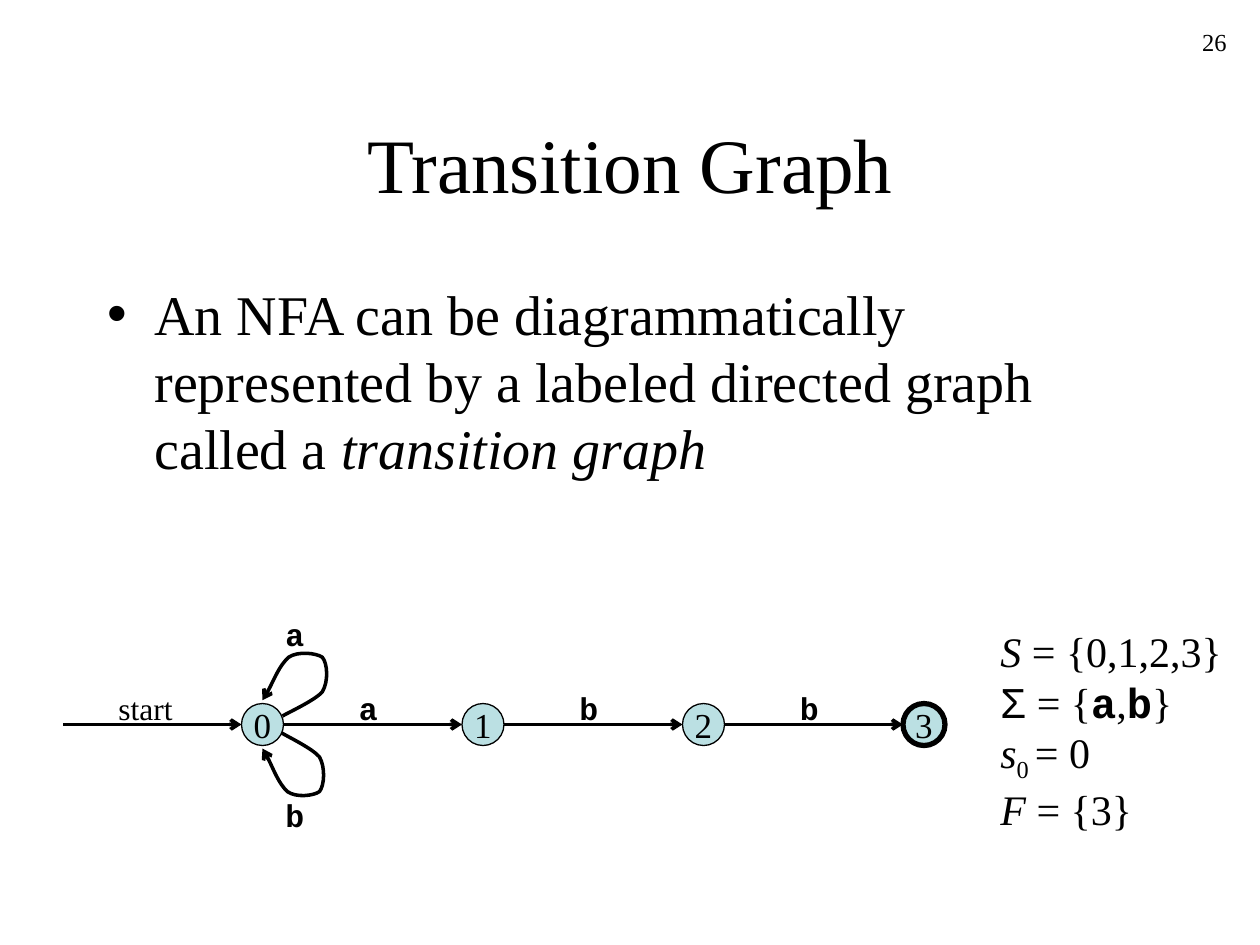
from collections import namedtuple
from dataclasses import dataclass
from lxml import etree
from pptx import Presentation
from pptx import util as u
from pptx.dml.color import RGBColor
from pptx.enum import shapes, text
from pptx.oxml.ns import qn

PX = 7620
Box = namedtuple("Box", "left top width height")


@dataclass(frozen=True)
class Theme:
    ink: RGBColor = RGBColor(0, 0, 0)
    node: RGBColor = RGBColor(0xBB, 0xE0, 0xE3)
    serif: str = "Times New Roman"
    sans: str = "Arial"
    mono: str = "Courier New"
    title: int = 44
    body: int = 32
    formula: int = 24
    state: int = 20
    label: int = 18
    number: int = 14
    thin: float = 0.75
    edge: int = 2
    final: int = 3


THEME = Theme()
SYMBOL = {"name": THEME.mono, "bold": True}
ITALIC = {"italic": True}
NODE_RADIUS = 20
NODE_STEP = 210
LOOP = [(19, 8), (26, 12), (50, 23), (57, 31), (63, 41), (62, 58), (57, 64),
        (51, 68), (34, 70), (25, 64), (16, 56), (6, 31), (0, 23)]


def emu(box):
    return [value * PX for value in box]


def place(shape, box):
    shape.left, shape.top, shape.width, shape.height = emu(box)


def add_span(para, words, size, **changes):
    span = para.add_run()
    span.text = words
    formats = {"name": THEME.serif, "size": u.Pt(size), "bold": False, "italic": False}
    for key, value in {**formats, **changes}.items():
        setattr(span.font, key, value)
    span.font.color.rgb = THEME.ink
    return span


def add_text(page, box, words="", size=THEME.label, align=text.PP_ALIGN.LEFT,
             wrap=False, **changes):
    frame = page.shapes.add_textbox(*emu(box)).text_frame
    frame.word_wrap = wrap
    frame.auto_size = text.MSO_AUTO_SIZE.NONE if wrap else text.MSO_AUTO_SIZE.SHAPE_TO_FIT_TEXT
    para = frame.paragraphs[0]
    para.alignment = align
    if words:
        add_span(para, words, size, **changes)
    return para


def style_edge(edge):
    edge.line.color.rgb = THEME.ink
    edge.line.width = u.Pt(THEME.edge)
    etree.SubElement(edge.line._get_or_add_ln(), qn("a:tailEnd"), type="arrow")


def add_edge(page, start, end, y):
    edge = page.shapes.add_connector(shapes.MSO_CONNECTOR.STRAIGHT, *emu((start, y, end, y)))
    style_edge(edge)
    etree.SubElement(edge._element.spPr, qn("a:effectLst"))


def add_loop(page, x, y, side, width):
    first, *rest = [(x + across, y + side * down) for across, down in LOOP]
    builder = page.shapes.build_freeform(*first, scale=PX)
    builder.add_line_segments(rest, close=False)
    loop = builder.convert_to_shape()
    loop.width = width * PX
    loop.fill.background()
    style_edge(loop)
    loop.shadow.inherit = False
    segments = list(loop._element.iter(qn("a:lnTo")))
    for index in range(0, len(segments), 3):
        curve = etree.Element(qn("a:cubicBezTo"))
        segments[index].addprevious(curve)
        for segment in segments[index:index + 3]:
            curve.append(segment[0])
            segment.getparent().remove(segment)


def add_node(page, x, y, name, weight):
    size = 2 * NODE_RADIUS
    node = page.shapes.add_shape(shapes.MSO_SHAPE.OVAL,
                                 *emu((x - NODE_RADIUS, y - NODE_RADIUS, size, size)))
    node.shadow.inherit = False
    node.fill.solid()
    node.fill.fore_color.rgb = THEME.node
    node.line.color.rgb = THEME.ink
    node.line.width = u.Pt(weight)
    frame = node.text_frame
    frame.word_wrap = False
    frame.vertical_anchor = text.MSO_ANCHOR.MIDDLE
    frame.paragraphs[0].alignment = text.PP_ALIGN.CENTER
    add_span(frame.paragraphs[0], name, THEME.state)


def fill_title(page, box):
    title = page.shapes.title
    place(title, box)
    frame = title.text_frame
    frame.auto_size = text.MSO_AUTO_SIZE.NONE
    frame.vertical_anchor = text.MSO_ANCHOR.MIDDLE
    para = frame.paragraphs[0]
    para.alignment = text.PP_ALIGN.CENTER
    add_span(para, "Transition Graph", THEME.title)


def fill_body(page, box):
    body = page.placeholders[1]
    place(body, box)
    body.text_frame.auto_size = text.MSO_AUTO_SIZE.NONE
    para = body.text_frame.paragraphs[0]
    properties = para._p.get_or_add_pPr()
    properties.set("marL", str(45 * PX))
    properties.set("indent", str(-45 * PX))
    etree.SubElement(properties, qn("a:buChar"), char="•")
    para.space_before = u.Pt(0)
    add_span(para, "An NFA can be diagrammatically represented by a labeled "
                   "directed graph called a ", THEME.body)
    add_span(para, "transition graph", THEME.body, **ITALIC)


def draw_graph(page, box):
    x, y = box.left + 190, box.top + 110
    centres = [x + NODE_STEP * index for index in range(4)]
    add_edge(page, box.left, x - NODE_RADIUS, y)
    add_text(page, Box(box.left + 41, y - 40, 76, 48), "start")
    for start, end, symbol in zip(centres, centres[1:], "abb"):
        add_edge(page, start + NODE_RADIUS, end - NODE_RADIUS, y)
        add_text(page, Box(start + 80, y - 40, 42, 48), symbol, **SYMBOL)
    for side, width, symbol, top in ((-1, 63, "a", -110), (1, 60, "b", 62)):
        add_loop(page, x, y, side, width)
        add_text(page, Box(x + 10, y + top, 42, 48), symbol, **SYMBOL)
    for index, centre in enumerate(centres):
        add_node(page, centre, y, str(index),
                 THEME.final if centre == centres[-1] else THEME.thin)


def write_definition(page, box):
    lines = [
        [("S ", ITALIC), ("= {0,1,2,3}", {})],
        [("Σ", {"name": THEME.sans}), (" = {", {}), ("a", SYMBOL), (",", {}),
         ("b", SYMBOL), ("}", {})],
        [("s", ITALIC), ("0 ", {}), ("= 0", {})],
        [("F ", ITALIC), ("= {3}", {})],
    ]
    para = add_text(page, box)
    for index, line in enumerate(lines):
        if index:
            para.add_line_break()
        for words, changes in line:
            span = add_span(para, words, THEME.formula, **changes)
            if words == "0 ":
                span._r.get_or_add_rPr().set("baseline", "-25000")


def main():
    deck = Presentation()
    deck.slide_width, deck.slide_height = 1200 * PX, 900 * PX
    page = deck.slides.add_slide(deck.slide_layouts[1])
    fill_title(page, Box(90, 80, 1020, 150))
    fill_body(page, Box(90, 260, 1020, 540))
    draw_graph(page, Box(60, 580, 840, 220))
    write_definition(page, Box(941, 590, 235, 211))
    add_text(page, Box(930, 20, 250, 60), "26", THEME.number,
             text.PP_ALIGN.RIGHT, wrap=True)
    deck.save("out.pptx")


if __name__ == "__main__":
    main()
